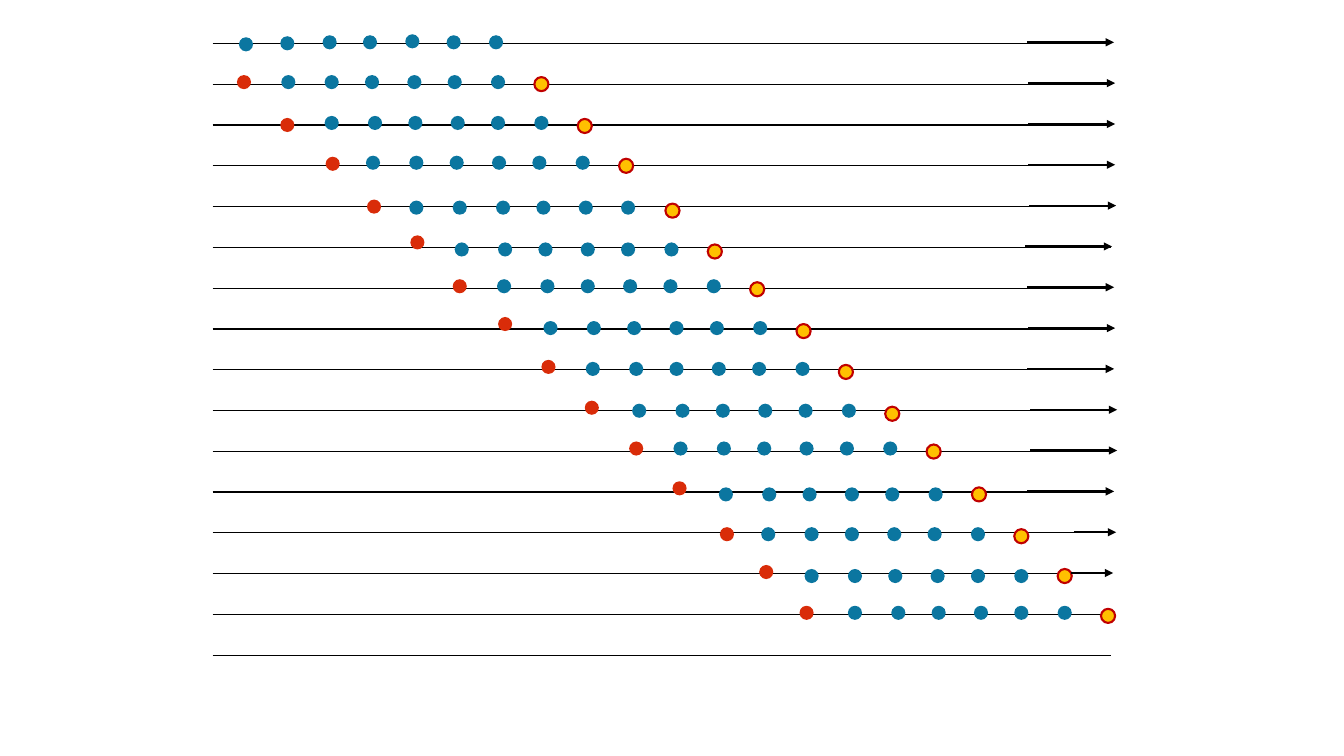
from collections import namedtuple

from lxml import etree
from pptx import Presentation
from pptx import util as u
from pptx.dml.color import RGBColor
from pptx.enum import shapes
from pptx.oxml import ns

BLACK, BLUE, RED, GOLD, DARK_RED = "000000", "0B76A0", "D92C09", "FFC000", "C00000"
NO_GRID_STYLE = "{2D5ABB26-0587-4C30-8999-92F81FD0307C}"
COLUMN_WIDTHS = [0.45, 0.43, 0.25, 2.44] + [0.89] * 6
ROW_COUNT, ROW_HEIGHT = 16, 0.405
DOT_SIZE = 0.14
FIRST_STEPS = (0, 0.41, 0.83, 1.23, 1.65, 2.06, 2.48)
FIRST_RISES = (0.01, 0, -0.01, -0.01, -0.02, -0.01, -0.01)
STEPS = (0, 0.43, 0.83, 1.25, 1.65, 2.08, 2.51)
WIDE_STEPS = (0, 0.43, 0.86, 1.26, 1.68, 2.1, 2.54)

Box = namedtuple("Box", "left top width height")
# Dot centres: x from the left end of the line, y from the line itself.
Window = namedtuple("Window", "red_x red_y blue_x blue_y gold_y steps", defaults=[STEPS])
WINDOWS = [
    Window(0.31, -0.02, 0.75, -0.02, 0),
    Window(0.74, 0, 1.18, -0.02, 0.01),
    Window(1.19, -0.02, 1.59, -0.03, 0),
    Window(1.60, 0, 2.02, 0.01, 0.04, WIDE_STEPS),
    Window(2.03, -0.05, 2.47, 0.02, 0.04),
    Window(2.45, -0.02, 2.89, -0.02, 0.01),
    Window(2.90, -0.05, 3.35, -0.01, 0.02),
    Window(3.33, -0.03, 3.77, -0.01, 0.02),
    Window(3.76, -0.03, 4.23, 0, 0.03),
    Window(4.20, -0.03, 4.64, -0.03, 0),
    Window(4.63, -0.04, 5.09, 0.02, 0.02),
    Window(5.10, 0.01, 5.51, 0.01, 0.03),
    Window(5.49, -0.02, 5.94, 0.02, 0.02),
    Window(5.89, -0.02, 6.37, -0.02, 0.01),
]
ARROW_STARTS = [8.08, 8.09, 8.09, 8.09, 8.10, 8.06, 8.08,
                8.09, 8.08, 8.11, 8.11, 8.08, 8.54, 8.51]
LONG_ARROW, SHORT_ARROW = 0.86, 0.42


def color(value):
    return RGBColor.from_string(value)


def add_border(cell, side):
    line = etree.SubElement(cell._tc.get_or_add_tcPr(), ns.qn(f"a:{side}"), w=str(u.Pt(1)))
    fill = etree.SubElement(line, ns.qn("a:solidFill"))
    etree.SubElement(fill, ns.qn("a:srgbClr"), val=BLACK)


def add_ruled_table(page, box):
    """Draw the time lines as the rules of an empty table, the last row unruled below."""
    frame = page.shapes.add_table(ROW_COUNT, len(COLUMN_WIDTHS), *map(u.Inches, box))
    table = frame.table
    table.first_row = table.horz_banding = False
    table._tbl.tblPr.find(ns.qn("a:tableStyleId")).text = NO_GRID_STYLE
    for column, width in zip(table.columns, COLUMN_WIDTHS):
        column.width = u.Inches(width)
    for index, row in enumerate(table.rows):
        row.height = u.Inches(ROW_HEIGHT)
        for cell in row.cells:
            cell.margin_top = cell.margin_bottom = 0
            para = cell.text_frame.paragraphs[0]
            para.font.size, para.font.name = u.Pt(12), "Calibri"
            if index < ROW_COUNT - 1:
                add_border(cell, "lnT")
            if index < ROW_COUNT - 2:
                add_border(cell, "lnB")
            cell.fill.background()


def add_dot(page, x, y, fill, outline=None):
    corner = (u.Inches(x - DOT_SIZE / 2), u.Inches(y - DOT_SIZE / 2))
    dot = page.shapes.add_shape(shapes.MSO_SHAPE.OVAL, *corner,
                                u.Inches(DOT_SIZE), u.Inches(DOT_SIZE))
    dot.shadow.inherit = False
    dot.fill.solid()
    dot.fill.fore_color.rgb = color(fill)
    if outline:
        dot.line.color.rgb = color(outline)
        dot.line.width = u.Pt(1.5)
    else:
        dot.line.fill.background()


def add_arrow(page, x, y, length):
    arrow = page.shapes.add_connector(shapes.MSO_CONNECTOR.STRAIGHT, u.Inches(x),
                                      u.Inches(y), u.Inches(x + length), u.Inches(y))
    arrow.line.color.rgb = color(BLACK)
    arrow.line.width = u.Pt(1.5)
    etree.SubElement(arrow.line._get_or_add_ln(), ns.qn("a:tailEnd"), type="triangle")
    etree.SubElement(arrow._element.spPr, ns.qn("a:effectLst"))


def add_first_window(page, left, line_y):
    for step, rise in zip(FIRST_STEPS, FIRST_RISES):
        add_dot(page, left + 0.33 + step, line_y + rise, BLUE)


def add_window(page, left, line_y, window):
    """Draw the dropped red dot, the kept blue dots and the new gold dot."""
    add_dot(page, left + window.red_x, line_y + window.red_y, RED)
    *kept, newest = [left + window.blue_x + step for step in window.steps]
    for x in kept:
        add_dot(page, x, line_y + window.blue_y, BLUE)
    add_dot(page, newest, line_y + window.gold_y, GOLD, DARK_RED)


def add_sliding_windows(page, box):
    add_ruled_table(page, box)
    add_first_window(page, box.left, box.top)
    for index, window in enumerate(WINDOWS, start=1):
        add_window(page, box.left, box.top + index * ROW_HEIGHT, window)
    for index, start in enumerate(ARROW_STARTS):
        length = LONG_ARROW if start < 8.5 else SHORT_ARROW
        add_arrow(page, box.left + start, box.top + index * ROW_HEIGHT - 0.01, length)


def main():
    deck = Presentation()
    deck.slide_width, deck.slide_height = u.Inches(13.33), u.Inches(7.5)
    page = deck.slides.add_slide(deck.slide_layouts[6])
    add_sliding_windows(page, Box(2.11, 0.43, sum(COLUMN_WIDTHS), ROW_COUNT * ROW_HEIGHT))
    deck.save("out.pptx")


if __name__ == "__main__":
    main()
